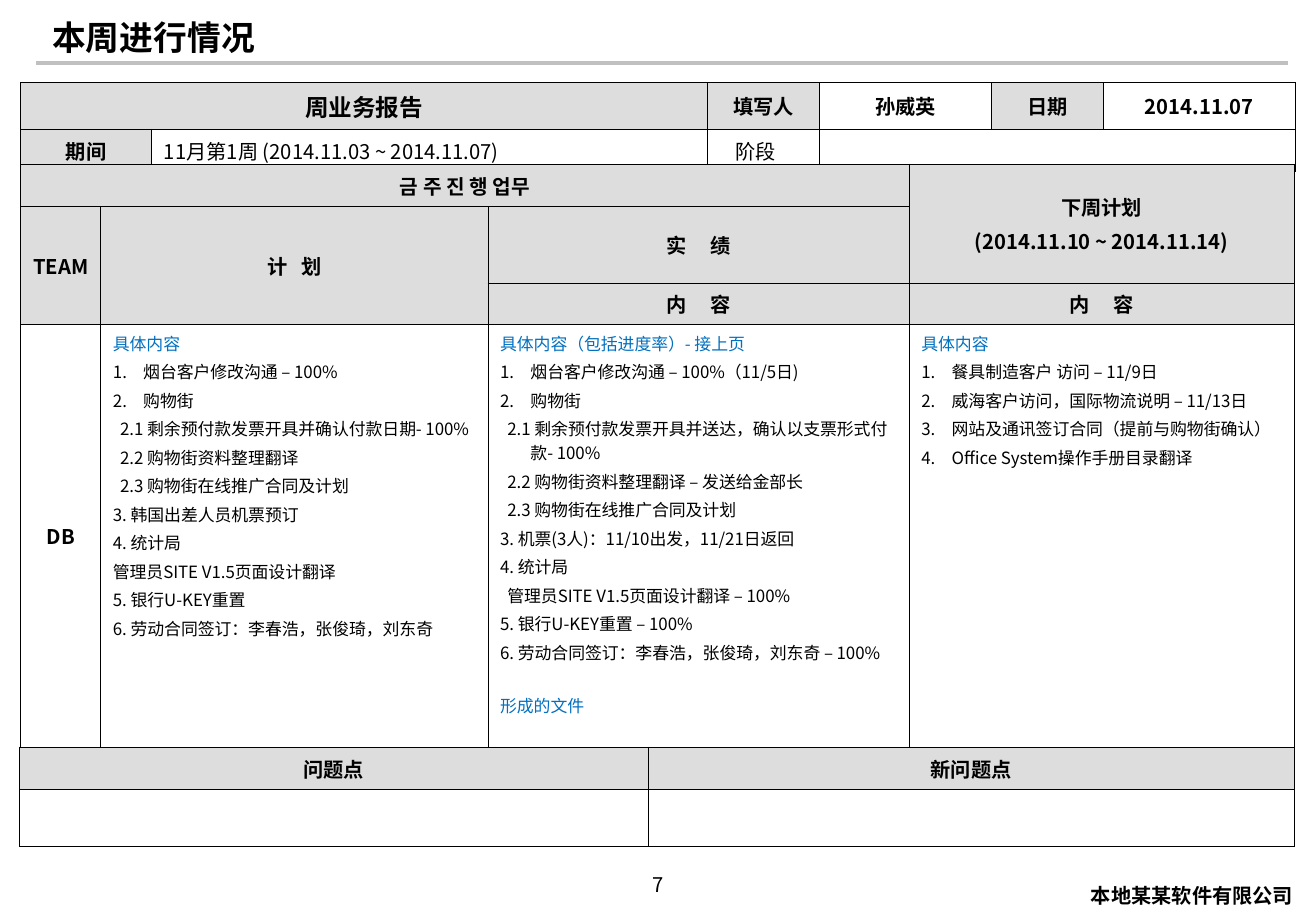
from lxml import etree
from pptx import Presentation
from pptx.dml.color import RGBColor
from pptx.enum import shapes, text
from pptx.oxml import ns
from pptx.util import Inches, Pt

FONT = "Noto Sans CJK KR"
BLACK, BLUE, GRAY, RULE = "000000", "0070C0", "DDDDDD", "C0C0C0"
LEFT, CENTER = text.PP_ALIGN.LEFT, text.PP_ALIGN.CENTER

PLAN = [
    ("head", "具体内容"),
    ("number", "烟台客户修改沟通 – 100%"),
    ("number", "购物街"),
    ("sub", "2.1 剩余预付款发票开具并确认付款日期- 100%"),
    ("sub", "2.2 购物街资料整理翻译"),
    ("sub", "2.3 购物街在线推广合同及计划"),
    ("item", "3. 韩国出差人员机票预订"),
    ("item", "4. 统计局"),
    ("item", "管理员SITE V1.5页面设计翻译"),
    ("item", "5. 银行U-KEY重置"),
    ("item", "6. 劳动合同签订：李春浩，张俊琦，刘东奇"),
]
RESULTS = [
    ("head", "具体内容（包括进度率）- 接上页"),
    ("number", "烟台客户修改沟通 – 100%（11/5日)"),
    ("number", "购物街"),
    ("sub", "2.1 剩余预付款发票开具并送达，确认以支票形式付款- 100%"),
    ("sub", "2.2 购物街资料整理翻译 – 发送给金部长"),
    ("sub", "2.3 购物街在线推广合同及计划"),
    ("item", "3. 机票(3人)：11/10出发，11/21日返回"),
    ("item", "4. 统计局"),
    ("sub", "管理员SITE V1.5页面设计翻译 – 100%"),
    ("item", "5. 银行U-KEY重置 – 100%"),
    ("item", "6. 劳动合同签订：李春浩，张俊琦，刘东奇 – 100%"),
    ("files", "形成的文件"),
]
NEXT_WEEK = [
    ("head", "具体内容"),
    ("number", "餐具制造客户 访问 – 11/9日"),
    ("number", "威海客户访问，国际物流说明 – 11/13日"),
    ("number", "网站及通讯签订合同（提前与购物街确认）"),
    ("number", "Office System操作手册目录翻译"),
]


def color(value):
    """Turn a hex string into a colour."""
    return RGBColor.from_string(value)


def style(para, size, bold=False, ink=BLACK, align=LEFT, font=FONT):
    """Set the alignment and the font of a whole paragraph."""
    para.alignment = align
    para.font.name, para.font.size, para.font.bold = font, Pt(size), bold
    para.font.color.rgb = color(ink)
    defaults = para._p.pPr.find(ns.qn("a:defRPr"))
    etree.SubElement(defaults, ns.qn("a:ea"), typeface=font)
    if not para.runs:
        etree.SubElement(para._p, ns.qn("a:endParaRPr"), sz=str(size * 100))


def outline(cell):
    """Draw thin black borders on all sides of a cell."""
    properties = cell._tc.get_or_add_tcPr()
    for side in ("lnL", "lnR", "lnT", "lnB"):
        line = etree.SubElement(properties, ns.qn(f"a:{side}"), w=str(Pt(0.45)))
        fill = etree.SubElement(line, ns.qn("a:solidFill"))
        etree.SubElement(fill, ns.qn("a:srgbClr"), val=BLACK)


def add_grid(page, left, top, widths, heights, merges=()):
    """Add a bordered, unfilled table and merge its spanning cells."""
    frame = page.shapes.add_table(len(heights), len(widths), Inches(left), Inches(top),
                                  Inches(sum(widths)), Inches(sum(heights)))
    table = frame.table
    table.first_row = table.horz_banding = False
    for column, width in zip(table.columns, widths):
        column.width = Inches(width)
    for row, height in zip(table.rows, heights):
        row.height = Inches(height)
    for cell in table.iter_cells():
        outline(cell)
        cell.fill.background()
        cell.vertical_anchor = text.MSO_ANCHOR.MIDDLE
        style(cell.text_frame.paragraphs[0], 12)
    for first, last in merges:
        table.cell(*first).merge(table.cell(*last))
    return table


def label(cell, *lines, size=12, bold=True, align=CENTER, shade=GRAY, gap=0):
    """Write a label in a cell, with an optional gap after its first glyph."""
    if shade:
        cell.fill.solid()
        cell.fill.fore_color.rgb = color(shade)
    frame = cell.text_frame
    frame.clear()
    for index, line in enumerate(lines):
        para = frame.add_paragraph() if index else frame.paragraphs[0]
        for end in para._p.findall(ns.qn("a:endParaRPr")):
            para._p.remove(end)
        if index:
            para.space_before = Pt(3)
        parts = (line[:2], line[2:]) if gap else (line,)
        for part in parts:
            para.add_run().text = part
        if gap:
            para.runs[0]._r.get_or_add_rPr().set("spc", str(gap))
        style(para, size, bold, align=align)


def task_list(cell, tasks):
    """Write headed and numbered tasks with hanging indents."""
    cell.vertical_anchor = text.MSO_ANCHOR.TOP
    frame = cell.text_frame
    for index, (kind, words) in enumerate(tasks):
        para = frame.add_paragraph() if index else frame.paragraphs[0]
        for end in para._p.findall(ns.qn("a:endParaRPr")):
            para._p.remove(end)
        para.add_run().text = words
        properties = para._p.get_or_add_pPr()
        for defaults in properties.findall(ns.qn("a:defRPr")):
            properties.remove(defaults)
        properties.set("marL", str(Inches(0.25)))
        properties.set("indent", str(Inches(-0.19 if kind == "sub" else -0.25)))
        if index:
            para.space_before = Pt(17 if kind == "files" else 2.5)
        if kind == "number":
            etree.SubElement(properties, ns.qn("a:buAutoNum"), type="arabicPeriod")
        style(para, 10, ink=BLUE if kind in ("head", "files") else BLACK)


def add_heading(page, left, top, width, height):
    """Place the slide title and the rule beneath it."""
    title = page.shapes.title
    title.left, title.top = Inches(left), Inches(top)
    title.width, title.height = Inches(width), Inches(height)
    title.text_frame.text = "本周进行情况"
    title.text_frame.vertical_anchor = text.MSO_ANCHOR.MIDDLE
    style(title.text_frame.paragraphs[0], 20, True)
    base = Inches(top + height)
    rule = page.shapes.add_connector(shapes.MSO_CONNECTOR.STRAIGHT,
                                     Inches(left - 0.03), base, Inches(10.61), base)
    rule.line.color.rgb = color(RULE)
    rule.line.width = Pt(2.25)
    etree.SubElement(rule._element.spPr, ns.qn("a:effectLst"))


def add_report_header(page, left, top):
    """Add the table naming the report, its author and its period."""
    table = add_grid(page, left, top, [1.08, 4.58, 0.92, 1.42, 0.92, 1.58], [0.38, 0.35],
                     [((0, 0), (0, 1)), ((1, 3), (1, 5))])
    label(table.cell(0, 0), "周业务报告", size=14)
    for column, words in enumerate(["填写人", "孙威英", "日期", "2014.11.07"], 2):
        label(table.cell(0, column), words, shade=None if column % 2 else GRAY)
    label(table.cell(1, 0), "期间")
    label(table.cell(1, 1), "11月第1周 (2014.11.03 ~ 2014.11.07)",
          bold=False, align=LEFT, shade=None)
    stage = table.cell(1, 2)
    stage.margin_left = Inches(0.23)
    label(stage, "阶段", bold=False, align=LEFT, shade=None)


def add_work_table(page, left, top):
    """Add the table of this week's work and next week's plan."""
    table = add_grid(page, left, top, [0.66, 3.19, 3.47, 3.17], [0.35, 0.63, 0.34, 3.48],
                     [((0, 0), (0, 2)), ((0, 3), (1, 3)), ((1, 0), (2, 0)), ((1, 1), (2, 1))])
    label(table.cell(0, 0), "금 주 진 행 업무")
    label(table.cell(0, 3), "下周计划", "(2014.11.10 ~ 2014.11.14)")
    label(table.cell(1, 0), "TEAM")
    label(table.cell(1, 1), "计 划", gap=270)
    label(table.cell(1, 2), "实 绩", gap=540)
    for column in (2, 3):
        label(table.cell(2, column), "内 容", gap=540)
    label(table.cell(3, 0), "DB", shade=None)
    for column, tasks in enumerate([PLAN, RESULTS, NEXT_WEEK], 1):
        task_list(table.cell(3, column), tasks)


def add_issue_table(page, left, top):
    """Add the table for open and new issues."""
    table = add_grid(page, left, top, [5.18, 5.32], [0.35, 0.47])
    for column, words in enumerate(["问题点", "新问题点"]):
        label(table.cell(0, column), words)


def add_footer(page, words, left, top, width, height, bold=False, font=FONT):
    """Add one centred footer text."""
    box = page.shapes.add_textbox(Inches(left), Inches(top), Inches(width), Inches(height))
    box.text_frame.word_wrap = True
    box.text_frame.text = words
    style(box.text_frame.paragraphs[0], 12, bold, align=CENTER, font=font)


def main():
    """Build the weekly report slide."""
    deck = Presentation()
    deck.slide_width, deck.slide_height = Inches(10.84), Inches(7.5)
    page = deck.slides.add_slide(deck.slide_layouts[5])
    add_heading(page, 0.33, 0.09, 8.78, 0.43)
    add_report_header(page, 0.17, 0.68)
    add_work_table(page, 0.17, 1.35)
    add_issue_table(page, 0.16, 6.15)
    add_footer(page, "7", 4.38, 7.13, 2.08, 0.28)
    add_footer(page, "本地某某软件有限公司", 8.84, 7.22, 1.96, 0.3, True, "Noto Sans CJK SC")
    deck.save("out.pptx")


if __name__ == "__main__":
    main()
